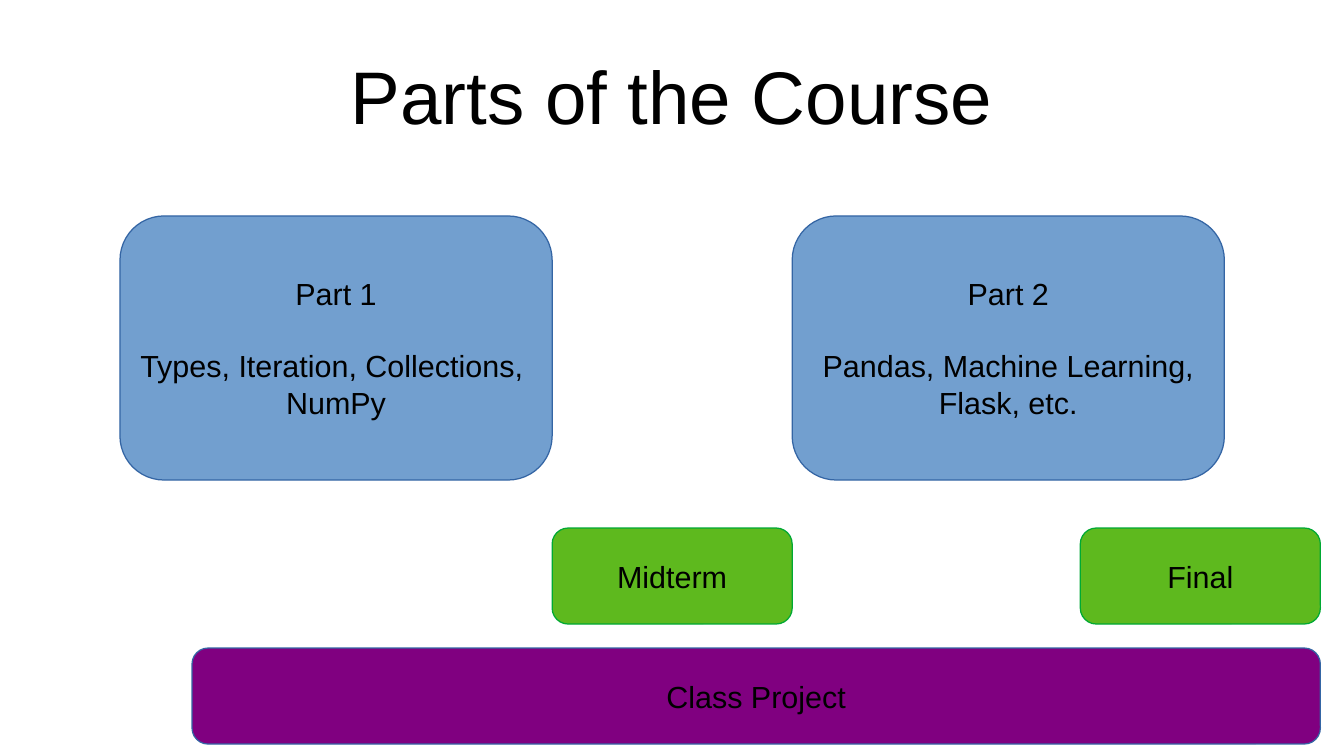
from pptx import Presentation
from pptx.dml.color import RGBColor
from pptx.enum.shapes import MSO_SHAPE
from pptx.enum.text import MSO_ANCHOR, MSO_AUTO_SIZE, PP_ALIGN
from pptx.util import Cm, Inches, Pt

ROUNDED = MSO_SHAPE.ROUNDED_RECTANGLE
MIDDLE = MSO_ANCHOR.MIDDLE
CENTER = PP_ALIGN.CENTER
NO_FIT = MSO_AUTO_SIZE.NONE

BLACK = RGBColor(0x00, 0x00, 0x00)
BLUE = RGBColor(0x72, 0x9F, 0xCF)
DARK_BLUE = RGBColor(0x34, 0x65, 0xA4)
GREEN = RGBColor(0x5E, 0xB9, 0x1E)
DARK_GREEN = RGBColor(0x00, 0xA9, 0x33)
PURPLE = RGBColor(0x80, 0x00, 0x80)

CELL = Cm(0.5)


def write(tf, lines, size=18, gap=0, wrap=False):
    tf.auto_size = NO_FIT
    tf.word_wrap = wrap
    tf.vertical_anchor = MIDDLE
    for i, line in enumerate(lines):
        p = tf.add_paragraph() if i else tf.paragraphs[0]
        p.alignment = CENTER
        p.space_before = Pt(gap if i == 1 else 0)
        r = p.add_run()
        r.text = line
        r.font.name = "Arial"
        r.font.size = Pt(size)
        r.font.color.rgb = BLACK


prs = Presentation()
prs.slide_width, prs.slide_height = Inches(11.02), Inches(6.2)
W, H = prs.slide_width, prs.slide_height
s = prs.slides.add_slide(prs.slide_layouts.get_by_name("Title Only"))

title = s.shapes.title
title.left, title.top = int(W * 0.05), int(H * 0.04)
title.width, title.height = int(W * 0.9), int(H * 0.17)
tf = title.text_frame
tf.margin_left = tf.margin_top = tf.margin_right = tf.margin_bottom = 0
write(tf, ["Parts of the Course"], size=44, wrap=True)

# column, row, columns wide, rows high
boxes = [
    (5, 9, 18, 11, BLUE, DARK_BLUE,
     ["Part 1", "Types, Iteration, Collections, ", "NumPy"]),
    (33, 9, 18, 11, BLUE, DARK_BLUE,
     ["Part 2", "Pandas, Machine Learning,", "Flask, etc."]),
    (23, 22, 10, 4, GREEN, DARK_GREEN, ["Midterm"]),
    (45, 22, 10, 4, GREEN, DARK_GREEN, ["Final"]),
    (8, 27, 47, 4, PURPLE, DARK_BLUE, ["Class Project"]),
]
for col, row, cols, rows, fill, line, lines in boxes:
    sp = s.shapes.add_shape(ROUNDED, col * CELL, row * CELL, cols * CELL, rows * CELL)
    sp.shadow.inherit = False
    sp.fill.solid()
    sp.fill.fore_color.rgb = fill
    sp.line.color.rgb = line
    sp.line.width = Pt(0)
    write(sp.text_frame, lines, gap=21)

prs.save("out.pptx")
